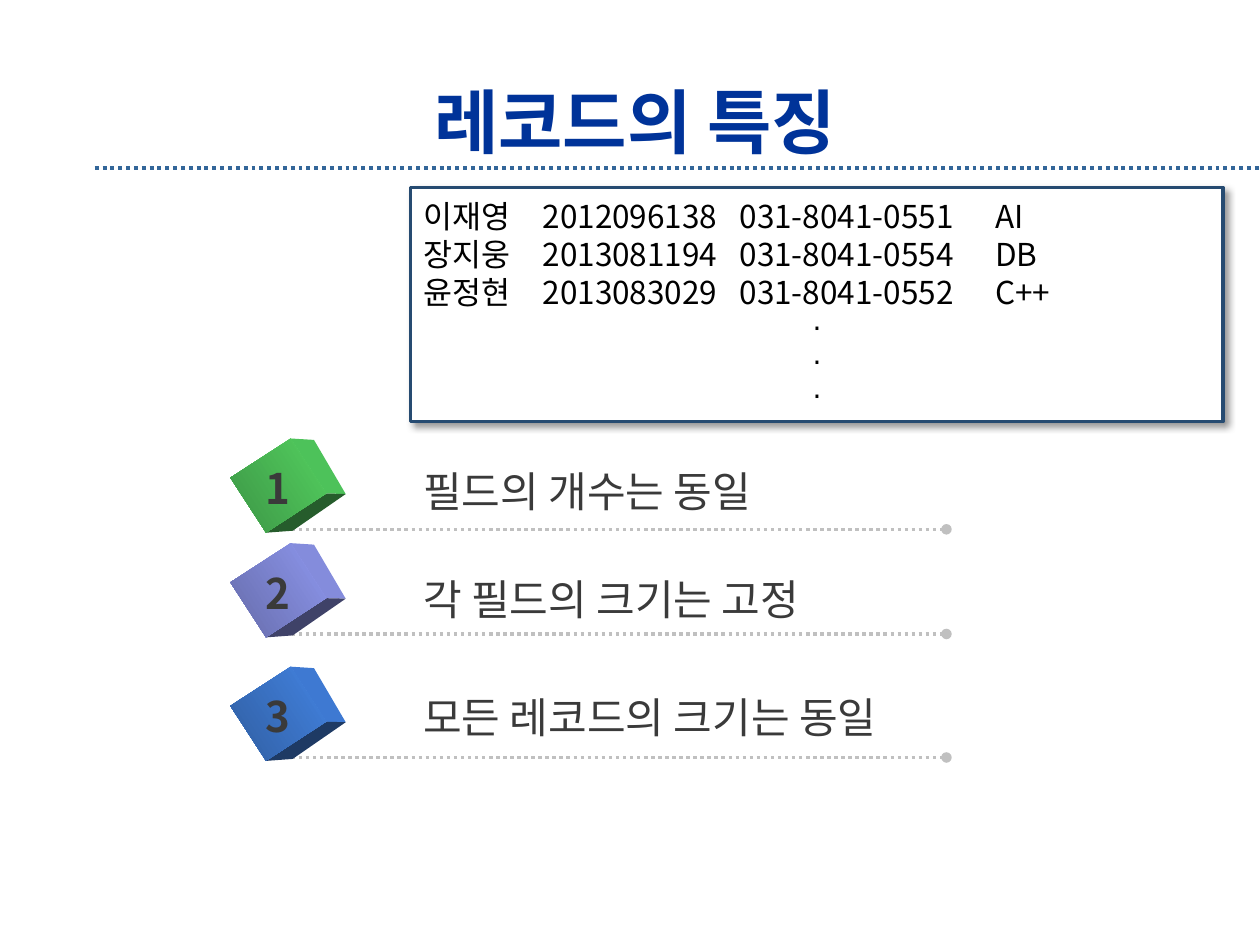
from dataclasses import dataclass

from lxml import etree
from pptx import Presentation
from pptx import util as u
from pptx.dml.color import RGBColor
from pptx.enum import dml, shapes, text
from pptx.oxml.ns import qn

FONT = "Noto Sans CJK KR"
HUES = {
    "title": "003399", "rule": "336699", "dots": "C0C0C0", "body": "3A3A3A",
    "black": "000000", "white": "FFFFFF", "frame": "264B71",
}


@dataclass
class Item:
    label: str
    line: float  # height of the dotted line, cm
    top: float   # top of the label, cm
    width: float
    light: str
    dark: str
    side: str
    base: str


ITEMS = [
    Item("필드의 개수는 동일", 10.67, 9.25, 7.92, "54D060", "3C9545", "4DC25A", "265C2C"),
    Item("각 필드의 크기는 고정", 12.78, 11.43, 9.07, "8E97EE", "666CAA", "848CDC", "3F4268"),
    Item("모든 레코드의 크기는 동일", 15.27, 13.82, 10.77, "4383E1", "305EA1", "3E79D2", "1E3A64"),
]
ROWS = [
    ("이재영", "2012096138", "031-8041-0551", "AI"),
    ("장지웅", "2013081194", "031-8041-0554", "DB"),
    ("윤정현", "2013083029", "031-8041-0552", "C++"),
]
TABS = (2.41, 6.38, 11.53)

# Cube faces, cm from the middle of the front face
SIDE = [(0.25, -0.95), (0.72, -0.92), (1.36, 0.17), (0.97, 0.16)]
BASE = [(0.97, 0.16), (1.36, 0.17), (0.29, 0.91), (-0.25, 0.95)]


def rgb(hue: str) -> RGBColor:
    return RGBColor.from_string(hue)


def style(para, size: int, hue: str, bold: bool = False) -> None:
    for run in para.runs:
        form = {"size": u.Pt(size), "bold": bold, "name": FONT}
        for key, value in form.items():
            setattr(run.font, key, value)
        run.font.color.rgb = rgb(hue)
        etree.SubElement(run.font._element, qn("a:ea"), typeface=FONT)


def rule(tree, left: float, right: float, y: float, hue: str, wide: float,
         dot: bool = False) -> None:
    line = tree.add_connector(shapes.MSO_CONNECTOR.STRAIGHT,
                              u.Cm(left), u.Cm(y), u.Cm(right), u.Cm(y))
    line.line.color.rgb = rgb(hue)
    line.line.width = u.Pt(wide)
    line.line.dash_style = dml.MSO_LINE.ROUND_DOT
    if dot:
        etree.SubElement(line.line._get_or_add_ln(), qn("a:tailEnd"), type="oval")
    etree.SubElement(line._element.spPr, qn("a:effectLst"))


def note(tree, words: str, left: float, top: float, width: float,
         bold: bool = False) -> None:
    box = tree.add_textbox(u.Cm(left), u.Cm(top), u.Cm(width), u.Cm(1.3))
    frame = box.text_frame
    frame.text = words
    form = {"word_wrap": False, "auto_size": text.MSO_AUTO_SIZE.SHAPE_TO_FIT_TEXT}
    for key, value in form.items():
        setattr(frame, key, value)
    style(frame.paragraphs[0], 24, HUES["body"], bold)


def face(tree, mid: tuple[float, float], spots: list, hue: str) -> None:
    points = [(u.Cm(mid[0] + x), u.Cm(mid[1] + y)) for x, y in spots]
    path = tree.build_freeform(*points[0])
    path.add_line_segments(points[1:], close=True)
    shape = path.convert_to_shape()
    shape.shadow.inherit = False
    shape.fill.solid()
    shape.fill.fore_color.rgb = rgb(hue)
    shape.line.fill.background()


def cube(tree, item: Item) -> None:
    mid = (5.61, item.line - 0.88)
    face(tree, mid, SIDE, item.side)
    face(tree, mid, BASE, item.base)
    wide, high = 1.32, 1.45
    front = tree.add_shape(shapes.MSO_SHAPE.RECTANGLE,
                           u.Cm(mid[0] - wide / 2), u.Cm(mid[1] - high / 2),
                           u.Cm(wide), u.Cm(high))
    front.rotation = 57
    front.shadow.inherit = False
    front.line.fill.background()
    front.fill.gradient()
    front.fill.gradient_angle = 270
    for stop, hue in zip(front.fill.gradient_stops, (item.light, item.dark)):
        stop.color.rgb = rgb(hue)


def entry(slide, number: int, item: Item) -> None:
    tree = slide.shapes.add_group_shape().shapes
    rule(tree, 5.74, 19.08, item.line, HUES["dots"], 2, dot=True)
    cube(tree, item)
    note(tree, item.label, 8.28, item.top, item.width)
    note(tree, str(number), 5.11, item.line - 1.47, 1.04, bold=True)


def records(slide) -> None:
    box = slide.shapes.add_shape(shapes.MSO_SHAPE.RECTANGLE,
                                 u.Cm(8.28), u.Cm(3.78), u.Cm(16.38), u.Cm(4.72))
    box.fill.solid()
    box.fill.fore_color.rgb = rgb(HUES["white"])
    box.line.color.rgb = rgb(HUES["frame"])
    box.line.width = u.Pt(2)
    # Soft shadow
    effect = etree.SubElement(box._element.spPr, qn("a:effectLst"))
    cast = etree.SubElement(effect, qn("a:outerShdw"), blurRad=str(u.Pt(4)),
                            dist=str(u.Pt(3)), dir="2700000", rotWithShape="0")
    shade = etree.SubElement(cast, qn("a:srgbClr"), val=HUES["black"])
    etree.SubElement(shade, qn("a:alpha"), val="40000")
    # Rows on tab stops, then centred dots
    frame = box.text_frame
    frame.vertical_anchor = text.MSO_ANCHOR.MIDDLE
    frame.text = "\n".join(["\t".join(row) for row in ROWS] + ["⋅"] * 3)
    for index, para in enumerate(frame.paragraphs):
        is_row = index < len(ROWS)
        para.alignment = text.PP_ALIGN.LEFT if is_row else text.PP_ALIGN.CENTER
        style(para, 18 if is_row else 16, HUES["black"])
        if is_row:
            stops = etree.SubElement(para._p.get_or_add_pPr(), qn("a:tabLst"))
            for tab in TABS:
                etree.SubElement(stops, qn("a:tab"), pos=str(u.Cm(tab)), algn="l")


def head(slide) -> None:
    title = slide.shapes.title
    place = {"left": 1.91, "top": 1.7, "width": 21.79, "height": 1.47}
    for key, value in place.items():
        setattr(title, key, u.Cm(value))
    frame = title.text_frame
    frame.text = "레코드의 특징"
    form = {"vertical_anchor": text.MSO_ANCHOR.MIDDLE, "word_wrap": True,
            "auto_size": text.MSO_AUTO_SIZE.NONE}
    for key, value in form.items():
        setattr(frame, key, value)
    frame.paragraphs[0].alignment = text.PP_ALIGN.CENTER
    style(frame.paragraphs[0], 40, HUES["title"], bold=True)


def main() -> None:
    deck = Presentation()
    deck.slide_width, deck.slide_height = u.Cm(25.4), u.Cm(19.05)
    slide = deck.slides.add_slide(deck.slide_layouts[5])
    rule(slide.shapes, 1.91, 25.4, 3.38, HUES["rule"], 2.25)
    head(slide)
    for number, item in enumerate(ITEMS, 1):
        entry(slide, number, item)
    records(slide)
    deck.save("out.pptx")


if __name__ == "__main__":
    main()
